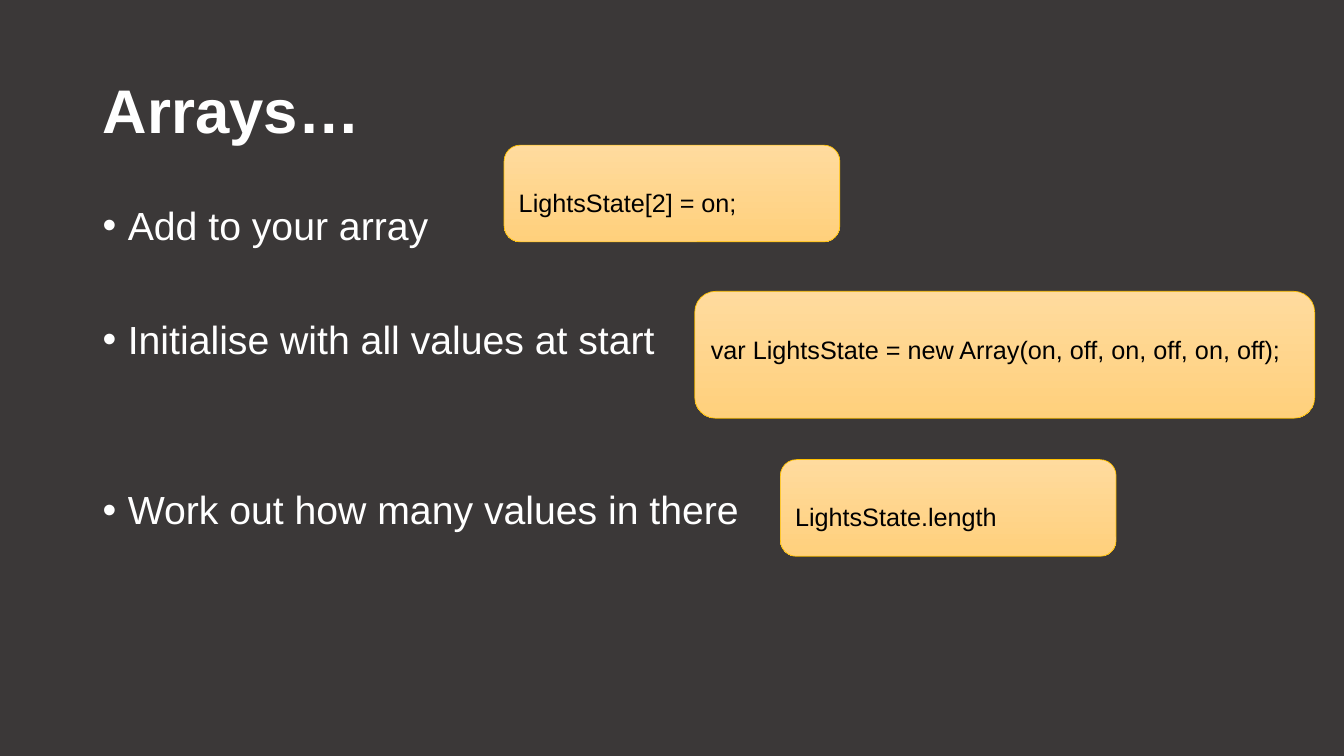
from lxml import etree
from pptx import Presentation
from pptx import util as u
from pptx.dml.color import RGBColor
from pptx.enum import shapes, text
from pptx.oxml.ns import qn

WHITE = "FFFFFF"
BULLETS = [
    ("Add to your array", 0),
    ("Initialise with all values at start", 51),
    ("Work out how many values in there", 91.75),
]
SNIPPETS = [
    ("LightsState[2] = on;", 5, 1.44, 3.33, 0.96),
    ("var LightsState = new Array(on, off, on, off, on, off);", 6.89, 2.89, 6.15, 1.26),
    ("LightsState.length", 7.74, 4.56, 3.33, 0.96),
]


def colour(value):
    return RGBColor.from_string(value)


def apply(target, values):
    for name, value in values.items():
        setattr(target, name, value)


def place(shape, left, top, width, height):
    apply(shape, {
        "left": u.Inches(left), "top": u.Inches(top),
        "width": u.Inches(width), "height": u.Inches(height),
    })


def write(para, words, size, hex_colour, bold=False):
    span = para.add_run()
    span.text = words
    apply(span.font, {"name": "Arial", "size": u.Pt(size), "bold": bold})
    span.font.color.rgb = colour(hex_colour)


def add_title(page, words):
    title = page.shapes.title
    place(title, 0.92, 0.4, 11.5, 1.45)
    frame = title.text_frame
    apply(frame, {"vertical_anchor": text.MSO_ANCHOR.MIDDLE, "word_wrap": True})
    para = frame.paragraphs[0]
    apply(para, {"alignment": text.PP_ALIGN.LEFT, "line_spacing": 0.9})
    write(para, words, 44, WHITE, bold=True)


def add_bullet(para):
    properties = para._p.get_or_add_pPr()
    properties.set("marL", str(u.Inches(0.25)))
    properties.set("indent", str(u.Inches(-0.25)))
    etree.SubElement(properties, qn("a:buFont"), typeface="Arial")
    etree.SubElement(properties, qn("a:buChar"), char="•")


def add_bullet_list(page, items):
    box = page.shapes.add_textbox(*map(u.Inches, (0.92, 2, 11.5, 4.76)))
    frame = box.text_frame
    frame.word_wrap = True
    for index, (words, gap) in enumerate(items):
        para = frame.add_paragraph() if index else frame.paragraphs[0]
        add_bullet(para)
        apply(para, {"line_spacing": 0.9, "space_before": u.Pt(gap)})
        write(para, words, 28, WHITE)


def add_snippet(page, code, *bounds):
    box = page.shapes.add_shape(
        shapes.MSO_SHAPE.ROUNDED_RECTANGLE, *map(u.Inches, bounds))
    box.shadow.inherit = False
    box.fill.gradient()
    box.fill.gradient_angle = 270
    for stop, shade in zip(box.fill.gradient_stops, ("FFDB9E", "FFD07C")):
        stop.color.rgb = colour(shade)
    box.line.color.rgb = colour("FFC000")
    box.line.width = u.Pt(0.5)
    apply(box.text_frame, {
        "word_wrap": True,
        "vertical_anchor": text.MSO_ANCHOR.TOP,
        "margin_top": u.Inches(0.37),
    })
    para = box.text_frame.paragraphs[0]
    para.alignment = text.PP_ALIGN.LEFT
    write(para, code, 18, "000000")


def main():
    deck = Presentation()
    apply(deck, {"slide_width": u.Inches(13.33), "slide_height": u.Inches(7.5)})
    page = deck.slides.add_slide(deck.slide_layouts[5])
    page.background.fill.solid()
    page.background.fill.fore_color.rgb = colour("3B3838")
    add_title(page, "Arrays…")
    add_bullet_list(page, BULLETS)
    for snippet in SNIPPETS:
        add_snippet(page, *snippet)
    deck.save("out.pptx")


if __name__ == "__main__":
    main()
